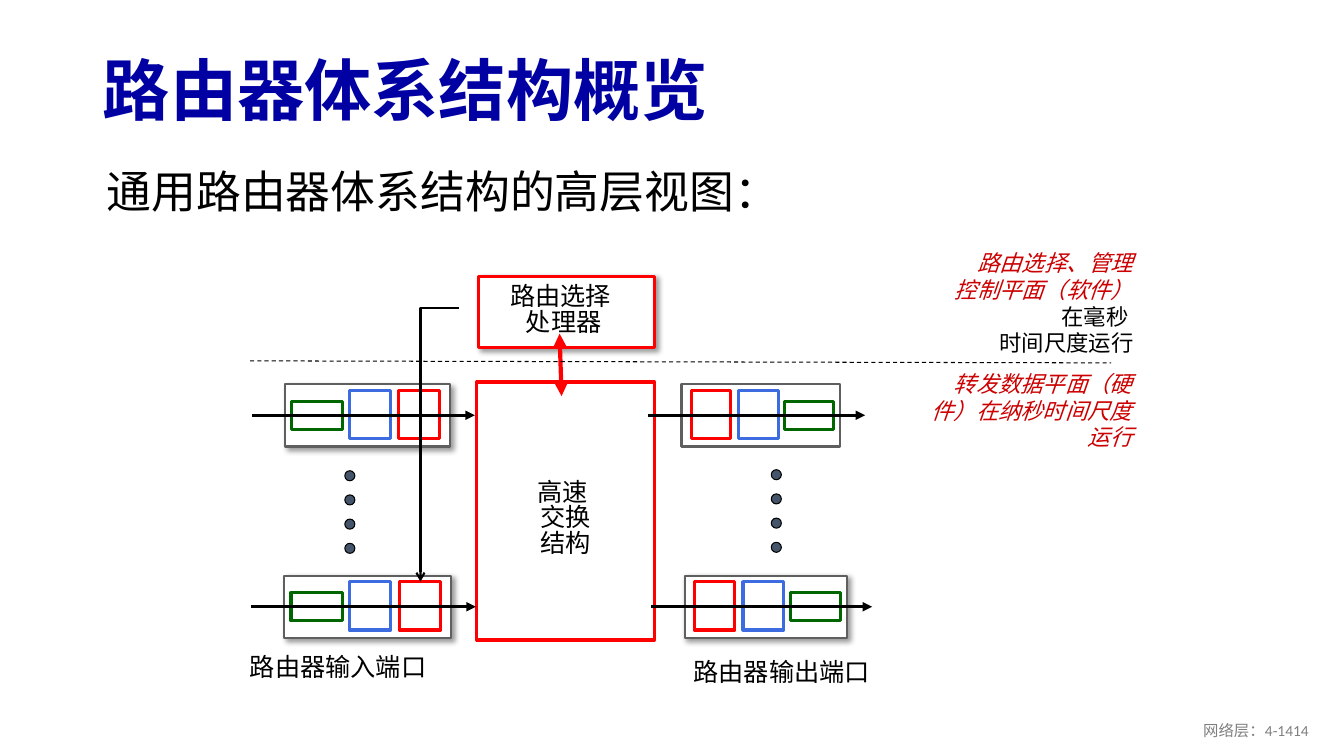
from lxml import etree
from pptx import Presentation
from pptx.dml.color import RGBColor
from pptx.enum.dml import MSO_LINE
from pptx.enum.shapes import MSO_CONNECTOR, MSO_SHAPE
from pptx.enum.text import MSO_ANCHOR, PP_ALIGN
from pptx.oxml import parse_xml
from pptx.oxml.ns import qn
from pptx.util import Pt

RECT, OVAL = MSO_SHAPE.RECTANGLE, MSO_SHAPE.OVAL
STRAIGHT = MSO_CONNECTOR.STRAIGHT
LEFT, MID, RIGHT = PP_ALIGN.LEFT, PP_ALIGN.CENTER, PP_ALIGN.RIGHT
TOP, MIDDLE = MSO_ANCHOR.TOP, MSO_ANCHOR.MIDDLE
DASH = MSO_LINE.DASH

PX = 9144  # 100 px to the inch
RED, GREEN, BLUE = "FF0000", "006600", "3C6CDF"
BLACK, WHITE, GRAY, CRIMSON = "000000", "FFFFFF", "5F5F5F", "CC0000"
SHADOW = (
    '<a:effectLst xmlns:a="http://schemas.openxmlformats.org/drawingml/2006/main">'
    '<a:outerShdw blurRad="50800" dist="38100" dir="2700000" algn="tl" rotWithShape="0">'
    '<a:srgbClr val="000000"><a:alpha val="40000"/></a:srgbClr>'
    '</a:outerShdw></a:effectLst>')
# Cells of a port: colour, start and width as shares of the port, inset, height
CELLS = [(GREEN, 0.04, 0.31, 17, 28), (BLUE, 0.39, 0.25, 6, 48), (RED, 0.69, 0.25, 6, 48)]


def px(*sizes):
    return [round(size * PX) for size in sizes]


def color(code):
    return RGBColor.from_string(code)


def style(line, code, width):
    line.color.rgb = color(code)
    line.width = Pt(width)


def write(box, rows, align=LEFT, anchor=TOP, wrap=True, space=None):
    """Fill a box with rows of (text, font values)."""
    frame = box.text_frame
    frame.word_wrap = wrap
    frame.vertical_anchor = anchor
    for i, (text, look) in enumerate(rows):
        para = frame.add_paragraph() if i else frame.paragraphs[0]
        para.alignment = align
        if space:
            para.line_spacing = space
        run = para.add_run()
        run.text = text
        values = {"name": "Arial", "size": 18, "color": BLACK, **look}
        run.font.color.rgb = color(values.pop("color"))
        values["size"] = Pt(values["size"])
        for key, value in values.items():
            setattr(run.font, key, value)


def label(slide, at, rows, **layout):
    write(slide.shapes.add_textbox(*px(*at)), rows, **layout)


def shape(slide, at, line, width, kind=RECT, fill=WHITE, shadow=False):
    item = slide.shapes.add_shape(kind, *px(*at))
    item.fill.solid()
    item.fill.fore_color.rgb = color(fill)
    style(item.line, line, width)
    if shadow:
        item._element.spPr.append(parse_xml(SHADOW))
    else:
        item.shadow.inherit = False


def tip(line, **ends):
    """Add arrowheads; the ends are headEnd and tailEnd."""
    for tag, kind in ends.items():
        etree.SubElement(line._get_or_add_ln(), qn("a:" + tag), type=kind)


def link(slide, ends, code, width, dash=None, **tips):
    item = slide.shapes.add_connector(STRAIGHT, *px(*ends))
    style(item.line, code, width)
    if dash:
        item.line.dash_style = dash
    tip(item.line, **tips)
    etree.SubElement(item._element.spPr, qn("a:effectLst"))


def bend(slide, points, width):
    """Draw an open path that ends in an arrowhead."""
    start, *rest = points
    path = slide.shapes.build_freeform(*start, scale=PX)
    path.add_line_segments(rest, close=False)
    item = path.convert_to_shape()
    item.fill.background()
    item.shadow.inherit = False
    style(item.line, BLACK, width)
    tip(item.line, tailEnd="arrow")


def port(slide, x, y, wide, flip=False, shadow=True):
    """Draw a port with its three cells and the arrow through it."""
    shape(slide, (x, y, wide, 62), GRAY, 1.5, shadow=shadow)
    for code, start, share, inset, high in CELLS:
        left = 1 - start - share if flip else start
        shape(slide, (x + left * wide, y + inset, share * wide, high), code, 2.25)
    link(slide, (x - 33, y + 31, x + wide + 25, y + 31), BLACK, 2.25, tailEnd="triangle")


def dots(slide, x, y):
    for i in range(4):
        shape(slide, (x, y + 24 * i, 10, 10), BLACK, 0.75, OVAL, "44546A")


def main():
    deck = Presentation()
    deck.slide_width, deck.slide_height = px(1333, 750)
    slide = deck.slides.add_slide(deck.slide_layouts[5])

    title = slide.shapes.title
    title.left, title.top, title.width, title.height = px(92, 44, 1150, 98)
    look = {"name": "Calibri", "size": 48, "bold": True, "color": "0000A3"}
    write(title, [("路由器体系结构概览", look)], anchor=MIDDLE, space=0.9)
    label(slide, (96, 158, 1180, 64), [("通用路由器体系结构的高层视图：", {"size": 32})])

    shape(slide, (473, 379, 176, 256), RED, 2.25)
    label(slide, (485, 472, 152, 87), [("高速 ", {}), ("交换", {}), ("结构", {})],
          align=MID, wrap=False, space=0.85)
    shape(slide, (475, 274, 174, 71), RED, 2.25, shadow=True)
    label(slide, (494, 278, 130, 61), [("路由选择 ", {}), ("处理器", {})],
          align=MID, wrap=False, space=0.85)
    link(slide, (555, 331, 557, 393), RED, 3, headEnd="triangle", tailEnd="triangle")

    port(slide, 283, 381, 163)
    port(slide, 282, 571, 165)
    dots(slide, 342, 467)
    label(slide, (238, 641, 209, 40), [("路由器输入端口", {})])
    port(slide, 676, 381, 157, flip=True, shadow=False)
    port(slide, 679, 571, 161, flip=True)
    dots(slide, 765, 466)
    label(slide, (678, 646, 224, 40), [("路由器输出端口", {})])

    link(slide, (248, 358, 1102, 360), BLACK, 0.75, dash=DASH)
    plain = {"size": 16}
    slant = {"size": 16, "color": CRIMSON, "italic": True}
    label(slide, (894, 362, 239, 118),
          [("转发数据平面（硬件）在纳秒时间尺度运行", slant)], align=RIGHT)
    label(slide, (819, 242, 315, 118),
          [("路由选择、管理", slant), ("控制平面（软件）", slant),
           ("在毫秒 ", plain), ("时间尺度运行", plain)], align=RIGHT)
    bend(slide, [(455, 306), (417, 306), (417, 577)], 1.5)

    foot = {"name": "Calibri", "size": 11, "color": "808080"}
    label(slide, (1008, 705, 300, 40), [("网络层：4-1414", foot)], align=RIGHT, anchor=MIDDLE)
    deck.save("out.pptx")


if __name__ == "__main__":
    main()
